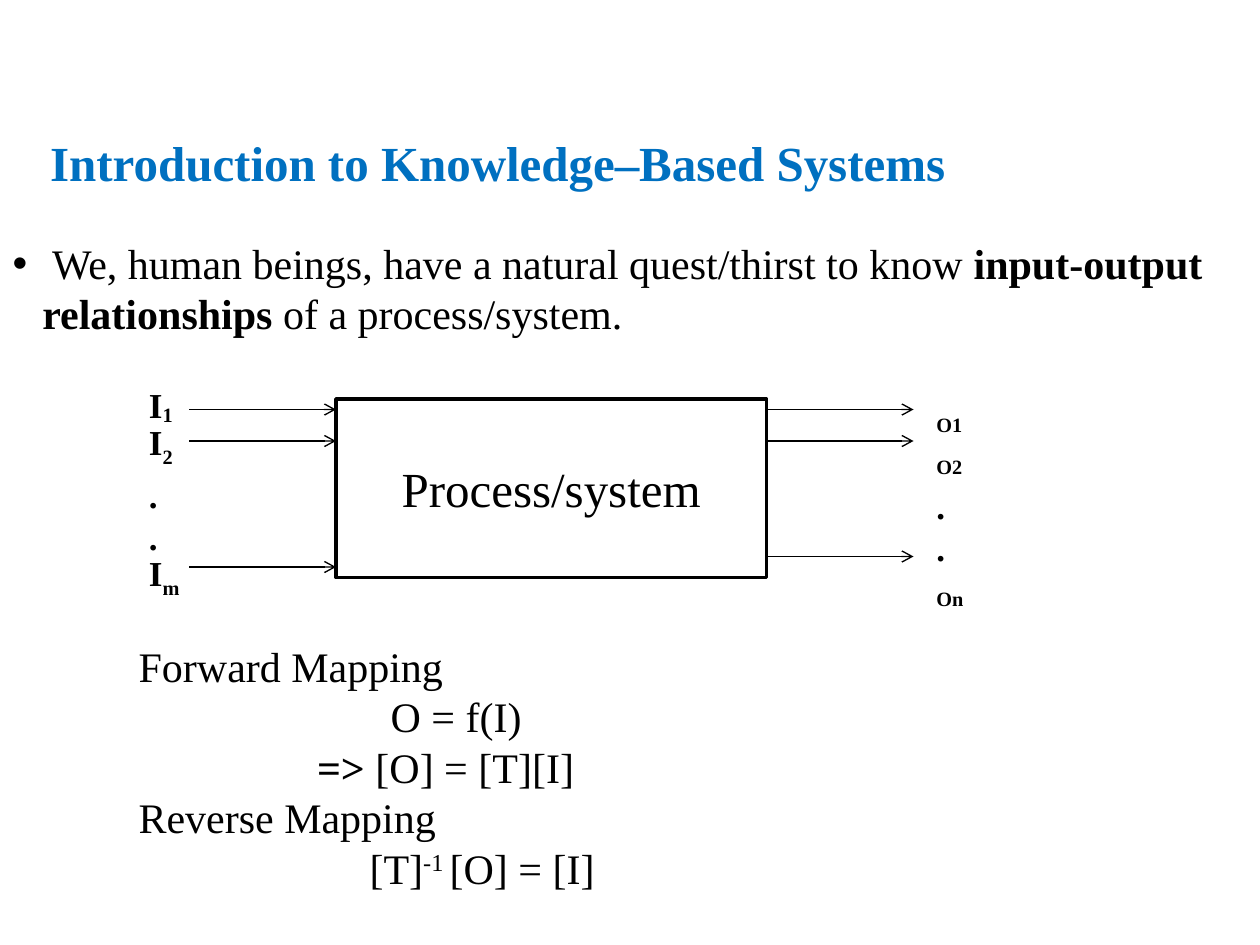
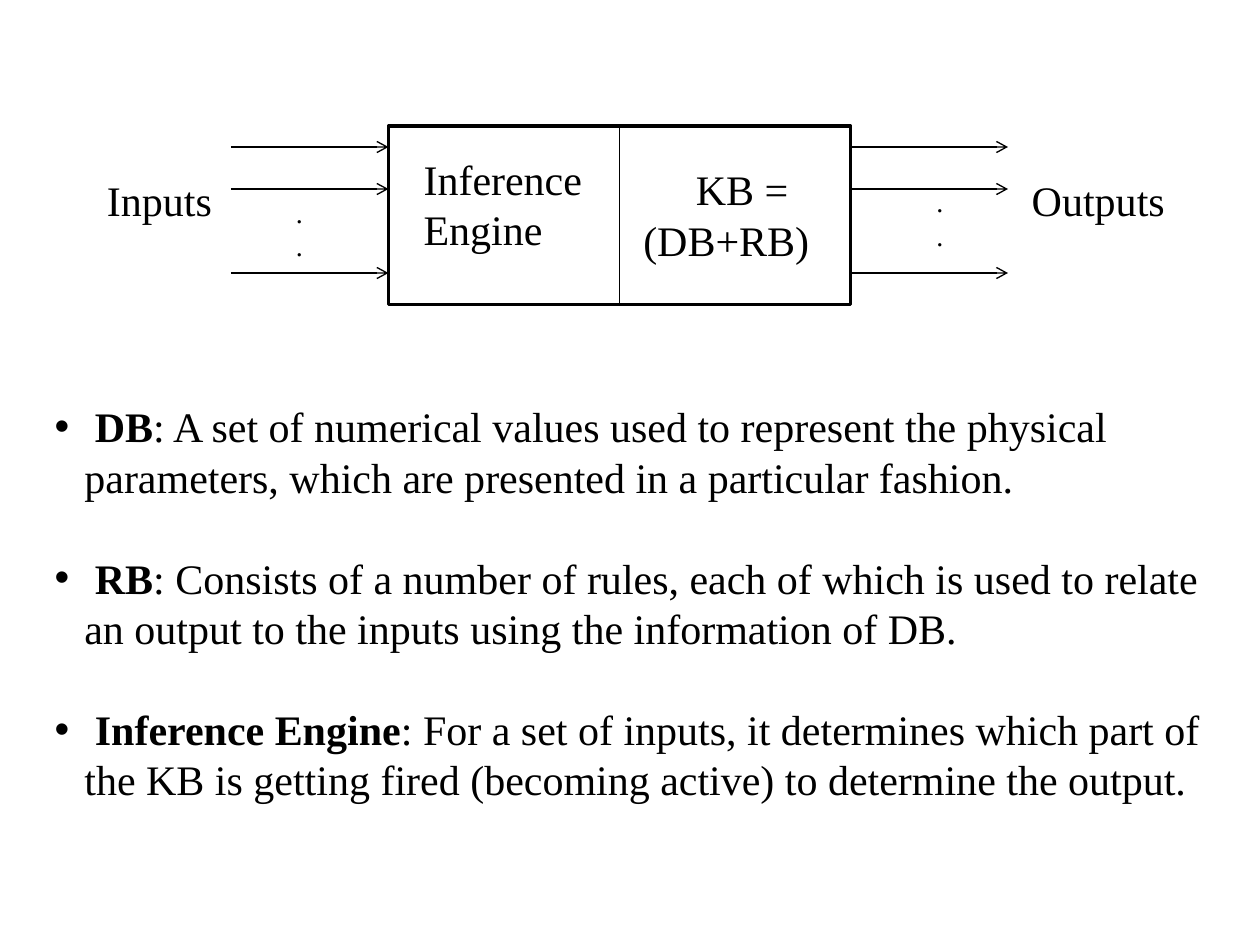
from lxml import etree
from pptx import Presentation
from pptx.dml.color import RGBColor
from pptx.enum.shapes import MSO_CONNECTOR, MSO_SHAPE
from pptx.enum.text import MSO_ANCHOR, MSO_AUTO_SIZE, PP_ALIGN
from pptx.oxml.ns import qn
from pptx.util import Pt

STRAIGHT = MSO_CONNECTOR.STRAIGHT
RECTANGLE = MSO_SHAPE.RECTANGLE
TOP, MIDDLE = MSO_ANCHOR.TOP, MSO_ANCHOR.MIDDLE
LEFT, CENTER = PP_ALIGN.LEFT, PP_ALIGN.CENTER
NO_AUTOFIT = MSO_AUTO_SIZE.NONE

BLACK = RGBColor(0, 0, 0)
WHITE = RGBColor(255, 255, 255)
BLUE = RGBColor(0x00, 0x70, 0xC0)
FONT = "Times New Roman"
LINE_SPACING = 1.2
BULLET_INDENT = 17

BOLD = {"bold": True}
SUB_SMALL = {"baseline": -10}
SUB = {"baseline": -25}
SUPER = {"baseline": 30}

HEADING = "Introduction to Knowledge–Based Systems"
QUEST = [
    (" We, human beings, have a natural quest/thirst to know ", {}),
    ("input-output relationships", BOLD),
    (" of a process/system.", {}),
]
MAPPINGS = [
    ("Forward Mapping", 72),
    ("O = f(I)", 216),
    ([("=> ", BOLD), ("[O] = [T][I]", {})], 174),
    ("Reverse Mapping", 72),
    ([("[T]", {}), ("-1 ", SUPER), ("[O] = [I]", {})], 204),
]
INPUT_SYMBOLS = [
    [("I", {}), ("1", SUB_SMALL)],
    [("I", {}), ("2", SUB)],
    ".",
    ".",
    [("I", {}), ("m", SUB)],
]
OUTPUT_SYMBOLS = [[("O1", SUB_SMALL)], [("O2", SUB)], ".", ".", [("On", SUB)]]
PROCESS = {
    "box": (192, 228, 246, 102),
    "reach": 84,
    "input_levels": (234, 252, 324),
    "output_levels": (234, 252, 318),
}

DEFINITIONS = [
    ("DB", ": A set of numerical values used to represent the physical "
           "parameters, which are presented in a particular fashion."),
    ("RB", ": Consists of a number of rules, each of which is used to relate "
           "an output to the inputs using the information of DB."),
    ("Inference Engine", ": For a set of inputs, it determines which part of "
                         "the KB is getting fired (becoming active) to determine the output."),
]
KNOWLEDGE_SYSTEM = {
    "box": (222, 72, 264, 102),
    "reach": 90,
    "input_levels": (84, 108, 156),
    "output_levels": (84, 108, 156),
}
SYSTEM_LABELS = [
    ((54, 96, 98, 36), 24, [("Inputs", 0)]),
    ((582.5, 96, 100, 36), 24, [("Outputs", 0)]),
    ((235, 84, 111, 65), 24, [("Inference", 0), ("Engine", 0)]),
    ((360.5, 90, 120, 65), 24, [("KB =", 30), ("(DB+RB)", 0)]),
    ((162, 108, 22, 46), 16, [(".", 0), (".", 0)]),
    ((528, 102, 22, 46), 16, [(".", 0), (".", 0)]),
]


def add_text(frame, text, *, size=24, color=BLACK, bold=False, align=LEFT,
             indent=0, bullet=False, before=0, after=0):
    started = bool(frame.paragraphs[0].runs)
    paragraph = frame.add_paragraph() if started else frame.paragraphs[0]
    properties = paragraph._p.get_or_add_pPr()
    properties.set("marL", str(Pt(BULLET_INDENT if bullet else indent)))
    properties.set("indent", str(Pt(-BULLET_INDENT if bullet else 0)))
    if bullet:
        etree.SubElement(properties, qn("a:buChar")).set("char", "•")
    else:
        etree.SubElement(properties, qn("a:buNone"))
    paragraph.alignment = align
    paragraph.line_spacing = Pt(size * LINE_SPACING)
    paragraph.space_before = Pt(before if started else 0)
    paragraph.space_after = Pt(after)
    for words, style in [(text, {})] if isinstance(text, str) else text:
        run = paragraph.add_run()
        run.text = words
        run.font.name = FONT
        run.font.size = Pt(size)
        run.font.color.rgb = color
        run.font.bold = style.get("bold", bold)
        if "baseline" in style:
            run._r.get_or_add_rPr().set("baseline", str(style["baseline"] * 1000))


def prepare_frame(holder, bounds):
    holder.left, holder.top, holder.width, holder.height = map(Pt, bounds)
    frame = holder.text_frame
    frame.word_wrap = True
    frame.auto_size = NO_AUTOFIT
    frame.vertical_anchor = TOP
    return frame


def text_box(slide, bounds):
    return prepare_frame(slide.shapes.add_textbox(*map(Pt, bounds)), bounds)


def add_line(slide, start, end, arrow=False):
    line = slide.shapes.add_connector(STRAIGHT, *map(Pt, (*start, *end)))
    line.line.color.rgb = BLACK
    line.line.width = Pt(0.79)
    if arrow:
        etree.SubElement(line.line._get_or_add_ln(), qn("a:tailEnd")).set("type", "arrow")
    etree.SubElement(line._element.spPr, qn("a:effectLst"))
    return line


def add_system(slide, box, reach, input_levels, output_levels):
    system = slide.shapes.add_shape(RECTANGLE, *map(Pt, box))
    system.shadow.inherit = False
    system.fill.solid()
    system.fill.fore_color.rgb = WHITE
    system.line.color.rgb = BLACK
    system.line.width = Pt(2)
    left, right = box[0], box[0] + box[2]
    for begin, levels in ((left - reach, input_levels), (right, output_levels)):
        for level in levels:
            add_line(slide, (begin, level), (begin + reach, level), arrow=True)
    return system


def build_introduction(slide):
    add_text(prepare_frame(slide.shapes.title, (21.5, 72, 560, 41)), HEADING,
             size=28, color=BLUE, bold=True)
    body = prepare_frame(slide.placeholders[1], (0, 132, 710, 390))
    add_text(body, QUEST, bullet=True)
    for index, (mapping, indent) in enumerate(MAPPINGS):
        add_text(body, mapping, indent=indent, before=0 if index else 172.8)

    process = add_system(slide, **PROCESS)
    process.text_frame.vertical_anchor = MIDDLE
    add_text(process.text_frame, "Process/system", size=28, align=CENTER)
    for bounds, symbols in (((78, 216, 48, 140), INPUT_SYMBOLS),
                            ((528, 222, 48, 140), OUTPUT_SYMBOLS)):
        column = text_box(slide, bounds)
        for index, symbol in enumerate(symbols):
            add_text(column, symbol, size=20, bold=True, after=3 if index == 1 else 0)


def build_knowledge_system(slide):
    title = slide.shapes.title._element
    title.getparent().remove(title)
    body = prepare_frame(slide.placeholders[1], (24, 225.5, 672, 280))
    for term, meaning in DEFINITIONS:
        add_text(body, [(" ", {}), (term, BOLD), (meaning, {})], bullet=True, before=28.8)

    system = add_system(slide, **KNOWLEDGE_SYSTEM)
    left, top, width, height = KNOWLEDGE_SYSTEM["box"]
    middle = left + width / 2
    divider = add_line(slide, (middle, top), (middle, top + height))
    divider.begin_connect(system, 0)
    divider.end_connect(system, 2)
    for bounds, size, lines in SYSTEM_LABELS:
        label = text_box(slide, bounds)
        for words, indent in lines:
            add_text(label, words, size=size, indent=indent)


def main():
    deck = Presentation()
    deck.slide_width, deck.slide_height = Pt(720), Pt(540)
    for build in (build_introduction, build_knowledge_system):
        build(deck.slides.add_slide(deck.slide_layouts[1]))
    deck.save("out.pptx")


if __name__ == "__main__":
    main()
